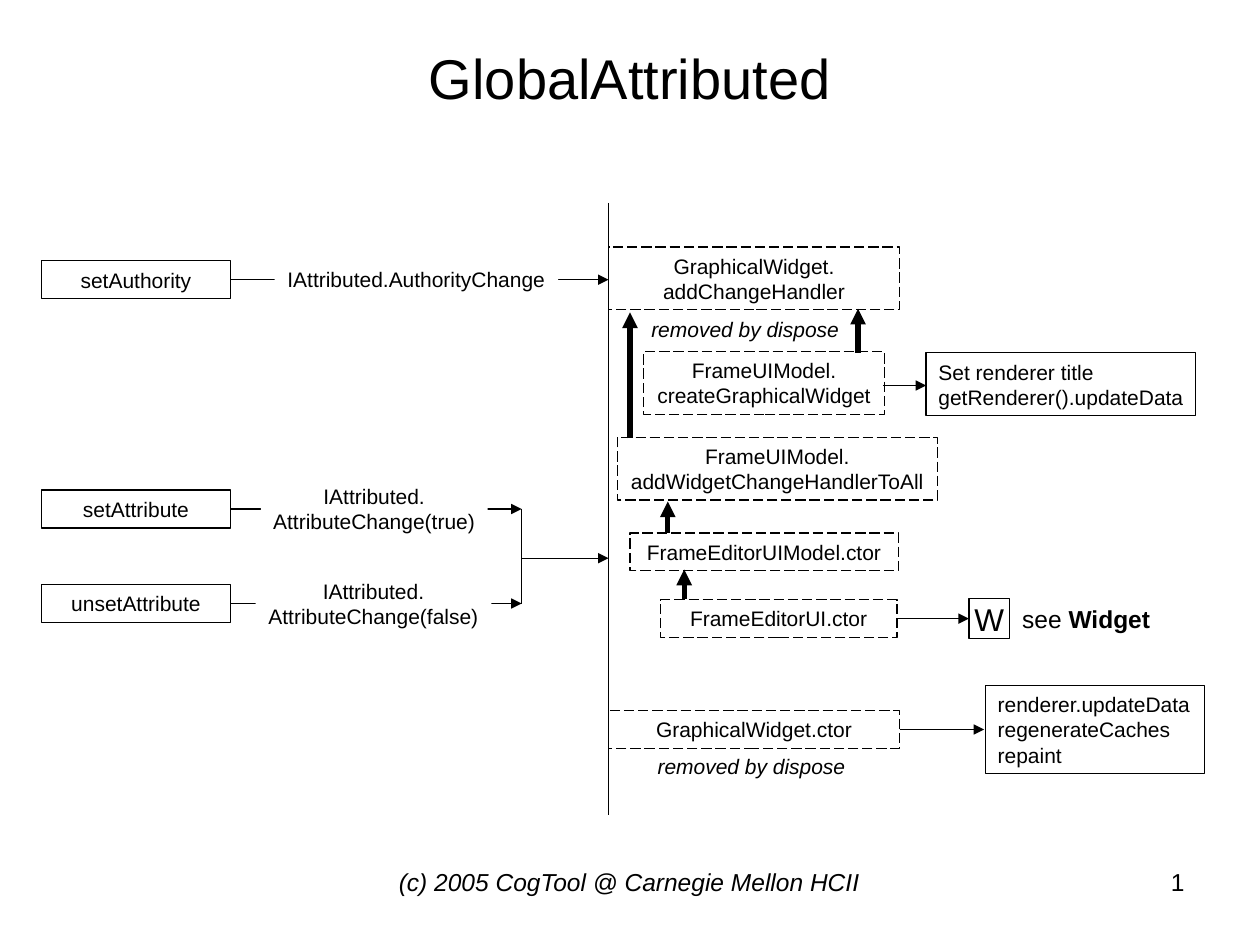
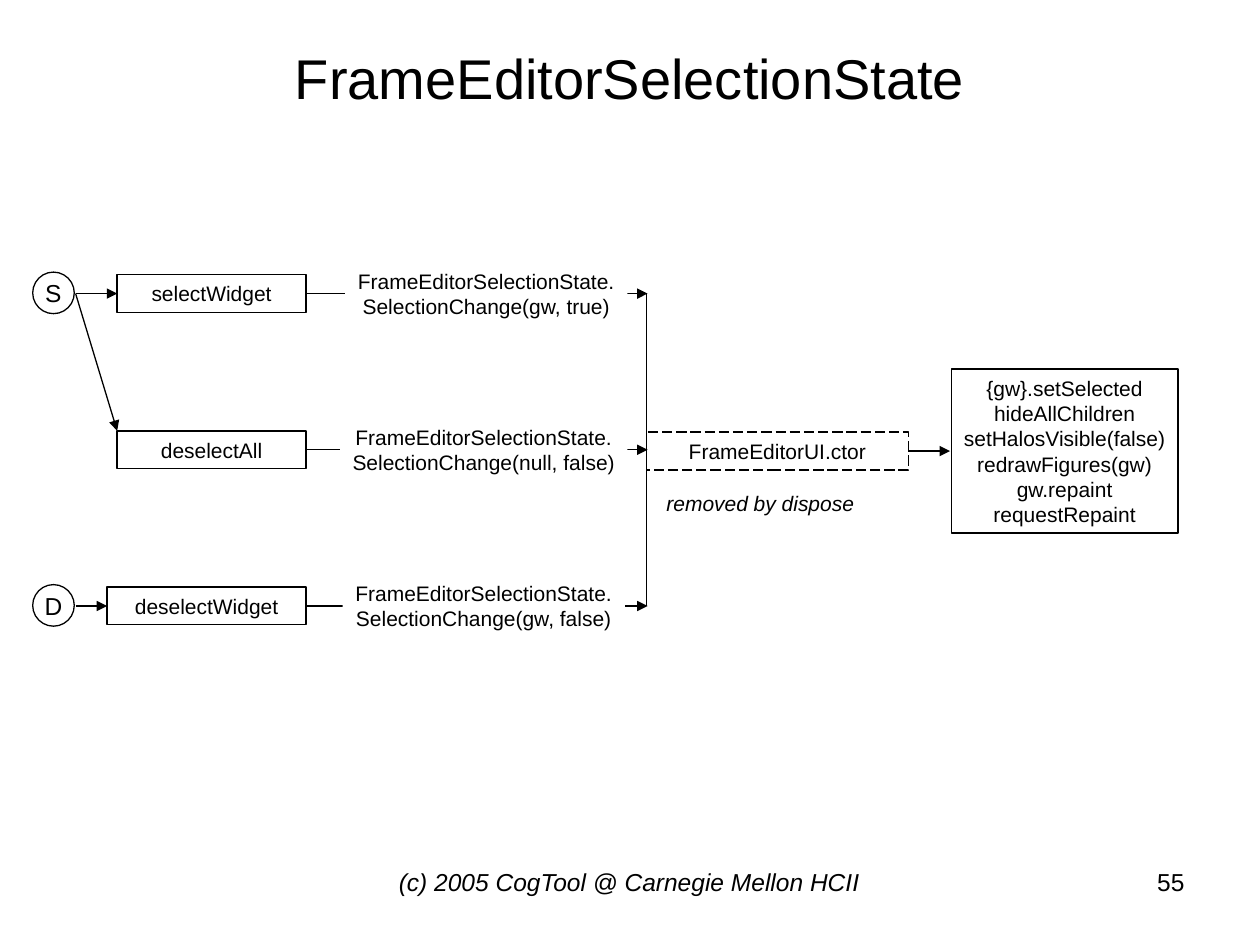
from pptx import Presentation
from pptx.dml.color import RGBColor
from pptx.enum.dml import MSO_LINE
from pptx.enum.shapes import MSO_CONNECTOR, MSO_SHAPE
from pptx.enum.text import MSO_ANCHOR, PP_ALIGN
from pptx.oxml.ns import qn
from pptx.util import Pt
from lxml.etree import SubElement

PX = 9144  # 100 px to the inch
COLORS = {"ink": "000000", "paper": "FFFFFF"}
FONT = "Arial"
THIN, THICK = 0.75, 3
FOOTER = "(c) 2005 CogTool @ Carnegie Mellon HCII"
LINE_H, PAD = 20, 5
ROW_H = LINE_H + 2 * PAD


def color(name):
    return RGBColor.from_string(COLORS[name])


def emu(*lengths):
    return [n * PX for n in lengths]


def height(text):
    """Height of a box that holds the lines of text at the body size."""
    return LINE_H * len(text.split("\n")) + 2 * PAD


def write(sp, text, size=12, align=PP_ALIGN.CENTER, italic=False,
          anchor=MSO_ANCHOR.MIDDLE):
    tf = sp.text_frame
    tf.word_wrap = False
    tf.vertical_anchor = anchor
    for i, line in enumerate(text.split("\n")):
        p = tf.add_paragraph() if i else tf.paragraphs[0]
        p.alignment = align
        p.font.name, p.font.size, p.font.italic = FONT, Pt(size), italic
        p.font.color.rgb = color("ink")
        p.add_run().text = line
    return tf


def add_text(s, x, y, w, h, text, **style):
    return write(s.shapes.add_textbox(*emu(x, y, w, h)), text, **style)


def add_node(s, x, y, w, text, h=None, kind=MSO_SHAPE.RECTANGLE,
             dashed=False, **style):
    sp = s.shapes.add_shape(kind, *emu(x, y, w, h or height(text)))
    sp.shadow.inherit = False
    sp.fill.background()
    sp.line.color.rgb = color("ink")
    sp.line.width = Pt(THIN)
    if dashed:
        sp.line.dash_style = MSO_LINE.LONG_DASH
    write(sp, text, **style)


def add_line(s, x1, y1, x2, y2, width=THIN, arrow=True):
    c = s.shapes.add_connector(MSO_CONNECTOR.STRAIGHT, *emu(x1, y1, x2, y2))
    c.line.color.rgb = color("ink")
    c.line.width = Pt(width)
    if arrow:
        SubElement(c.line._get_or_add_ln(), qn("a:tailEnd"), type="triangle")
    SubElement(c._element.spPr, qn("a:effectLst"))


def add_label(s, x, y, w, text):
    """Text on a plain ground that interrupts the line behind it."""
    sp = s.shapes.add_shape(MSO_SHAPE.RECTANGLE, *emu(x, y, w, height(text)))
    sp.shadow.inherit = False
    sp.fill.solid()
    sp.fill.fore_color.rgb = color("paper")
    sp.line.fill.background()
    write(sp, text, anchor=MSO_ANCHOR.TOP)


def add_event(s, x, y, w, method, change, label_x, label_w, end_x):
    """Method box, and an arrow to end_x that carries the change it raises."""
    mid = y + ROW_H // 2
    add_node(s, x, y, w, method)
    add_line(s, x + w, mid, end_x, mid)
    add_label(s, label_x, mid - height(change) // 2, label_w, change)


def add_removed_note(s, x, y):
    add_text(s, x, y, 183, ROW_H, "removed by dispose", italic=True)


def add_caller(s, x, y):
    """Circled letter of the diagram that the event comes from."""


def add_slide(prs, title, number):
    s = prs.slides.add_slide(prs.slide_layouts[6])
    add_text(s, 50, 30, 900, 62, title, size=32)
    add_text(s, 283, 683, 433, 52, FOOTER, size=14, italic=True,
             anchor=MSO_ANCHOR.TOP)
    add_text(s, 717, 683, 233, 52, number, size=14, align=PP_ALIGN.RIGHT,
             anchor=MSO_ANCHOR.TOP)
    return s


def add_attribute_events(s, x, y):
    bus, end, step = x + 381, x + 450, 75
    add_event(s, x, y, 150, "setAuthority", "IAttributed.AuthorityChange",
              x + 185, 225, end)
    first = y + 182
    add_event(s, x, first, 150, "setAttribute",
              "IAttributed.\nAttributeChange(true)", x + 174, 180, bus)
    add_event(s, x, first + step, 150, "unsetAttribute",
              "IAttributed.\nAttributeChange(false)", x + 170, 187, bus)
    mid = first + ROW_H // 2
    add_line(s, bus, mid, bus, mid + step, arrow=False)
    add_line(s, bus, mid + 39, end, mid + 39)


def add_attribute_handlers(s, x, y):
    """Divider at x, with the handlers and their results to its right."""
    add_line(s, x, y, x, y + 486, arrow=False)
    for dx, dy, w, text in (
            (0, 35, 231, "GraphicalWidget.\naddChangeHandler"),
            (28, 118, 191, "FrameUIModel.\ncreateGraphicalWidget"),
            (7, 186, 254, "FrameUIModel.\naddWidgetChangeHandlerToAll"),
            (17, 262, 213, "FrameEditorUIModel.ctor"),
            (41, 315, 188, "FrameEditorUI.ctor"),
            (0, 403, 231, "GraphicalWidget.ctor")):
        add_node(s, x + dx, y + dy, w, text, dashed=True)
    for dx, start, end in ((198, 119, 84), (17, 187, 87),
                           (47, 262, 237), (60, 314, 291)):
        add_line(s, x + dx, y + start, x + dx, y + end, width=THICK)
    for dy, start, end in ((145, 218, 252), (330, 229, 286), (418, 231, 298)):
        add_line(s, x + start, y + dy, x + end, y + dy)
    for dx, dy, w, text in (
            (252, 119, 214, "Set renderer title\ngetRenderer().updateData"),
            (299, 383, 174, "renderer.updateData\nregenerateCaches\nrepaint")):
        add_node(s, x + dx, y + dy, w, text, align=PP_ALIGN.LEFT)
    for dx, dy in ((17, 85), (22, 432)):
        add_removed_note(s, x + dx, y + dy)
    add_node(s, x + 286, y + 314, 32, "W", h=32, size=18)
    tf = add_text(s, x + 318, y + 313, 122, 34, "see ", size=14)
    r = tf.paragraphs[0].add_run()
    r.text = "Widget"
    r.font.bold = True


def add_selection_events(s, x, y):
    bus, right, step = x + 487, x + 217, 124
    for i, (dx, method, arguments, label_dx, label_w) in enumerate((
            (67, "selectWidget", "gw, true", 248, 224),
            (67, "deselectAll", "null, false", 244, 228),
            (59, "deselectWidget", "gw, false", 246, 224))):
        left = x + dx
        add_event(s, left, y + i * step, right - left, method,
                  f"FrameEditorSelectionState.\nSelectionChange({arguments})",
                  x + label_dx, label_w, bus + 1)
    mid = y + ROW_H // 2
    add_line(s, bus, mid, bus, mid + 2 * step, arrow=False)
    for letter, dy, method_dx in (("S", 0, 67), ("D", 2 * step, 59)):
        add_node(s, x, mid + dy - 17, 33, letter, h=33,
                 kind=MSO_SHAPE.OVAL, size=14)
        add_line(s, x + 34, mid + dy, x + method_dx, mid + dy)
    add_line(s, x + 34, mid, x + 67, y + step)


def add_selection_handler(s, x, y):
    mid = y + ROW_H // 2
    result = "\n".join(("{gw}.setSelected", "hideAllChildren",
                        "setHalosVisible(false)", "redrawFigures(gw)",
                        "gw.repaint", "requestRepaint"))
    add_node(s, x, y, 208, "FrameEditorUI.ctor", dashed=True)
    add_line(s, x + 208, mid, x + 241, mid)
    add_node(s, x + 242, mid - height(result) // 2, 180, result)
    add_removed_note(s, x - 1, y + 41)


def main():
    prs = Presentation()
    prs.slide_width, prs.slide_height = emu(1000, 750)

    s = add_slide(prs, "GlobalAttributed", "1")
    add_attribute_events(s, 33, 207)
    add_attribute_handlers(s, 483, 161)

    s = add_slide(prs, "FrameEditorSelectionState", "55")
    add_selection_events(s, 26, 218)
    add_selection_handler(s, 513, 343)

    prs.save("out.pptx")


if __name__ == "__main__":
    main()
